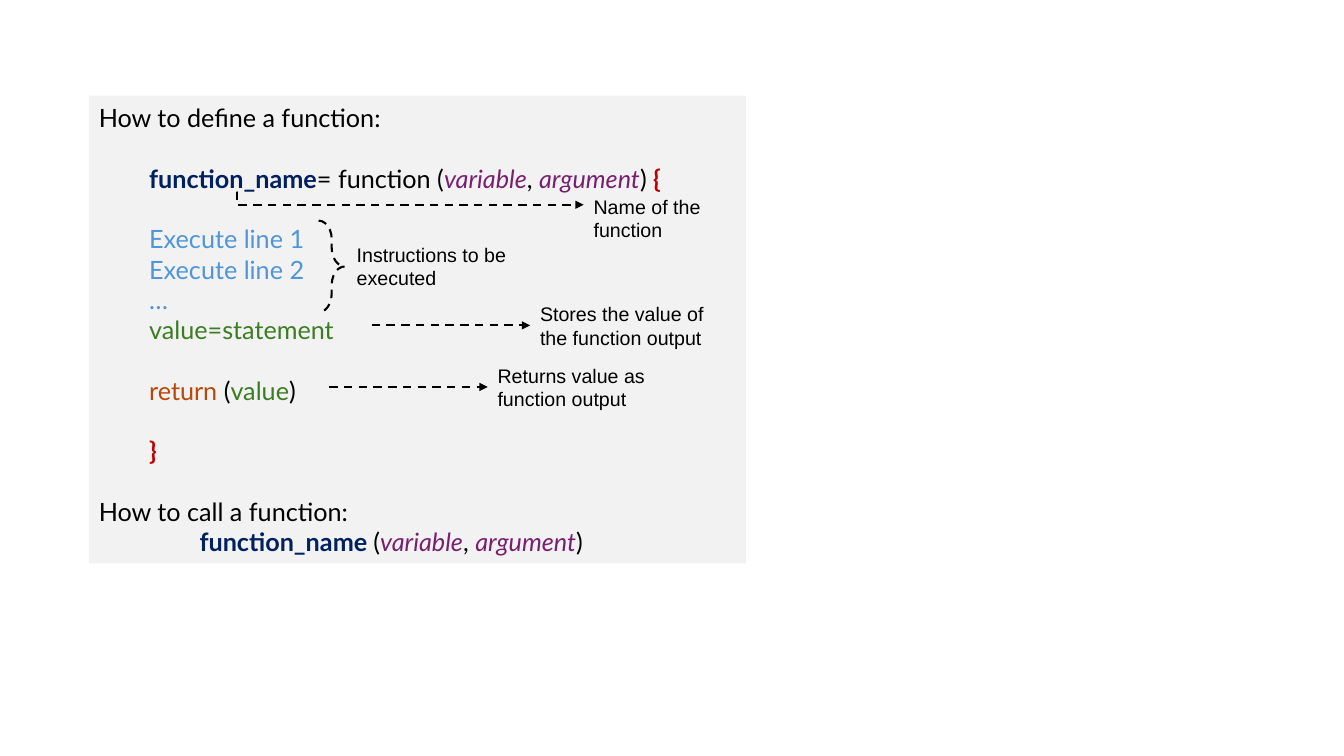
from dataclasses import dataclass

from lxml import etree
from pptx import Presentation
from pptx.dml.color import RGBColor
from pptx.enum.dml import MSO_LINE
from pptx.enum.shapes import MSO_CONNECTOR, MSO_SHAPE
from pptx.enum.text import MSO_ANCHOR, PP_ALIGN
from pptx.oxml.ns import qn
from pptx.util import Cm, Pt

DASH = MSO_LINE.DASH
STRAIGHT, ELBOW = MSO_CONNECTOR.STRAIGHT, MSO_CONNECTOR.ELBOW
RECTANGLE, RIGHT_BRACE = MSO_SHAPE.RECTANGLE, MSO_SHAPE.RIGHT_BRACE
LEFT, MIDDLE = PP_ALIGN.LEFT, MSO_ANCHOR.MIDDLE

BLACK = RGBColor(0x00, 0x00, 0x00)
PANEL_GREY = RGBColor(0xF2, 0xF2, 0xF2)
NAVY = RGBColor(0x00, 0x20, 0x60)
PURPLE = RGBColor(0x78, 0x20, 0x6E)
RED = RGBColor(0xC0, 0x00, 0x00)
BLUE = RGBColor(0x4E, 0x95, 0xD9)
GREEN = RGBColor(0x3B, 0x7D, 0x23)
ORANGE = RGBColor(0xBC, 0x47, 0x09)

CODE_FONT, CODE_SIZE = "Lato", Pt(18)
LABEL_FONT, LABEL_SIZE = "Arial", Pt(14)
BLANK_LINE = Pt(21.6)
INDENT = 1.27
ARROW_LENGTH = 3.99
ARROW_DROP = 0.71  # from the top of a label to its arrow


@dataclass
class Span:
    text: str
    color: RGBColor = BLACK
    bold: bool = False
    italic: bool = False


@dataclass
class CodeLine:
    spans: list[Span]
    level: int = 1
    gap: bool = False


@dataclass
class Label:
    text: str
    left: float
    top: float
    width: float = 4.83
    arrow: bool = False


PARAMETERS = [Span("variable", PURPLE, italic=True), Span(", "),
              Span("argument", PURPLE, italic=True)]

CODE = [
    CodeLine([Span("How to define a function:")], level=0),
    CodeLine([Span("function_name", NAVY, bold=True), Span("= function ("),
              *PARAMETERS, Span(") "), Span("{", RED, bold=True)], gap=True),
    CodeLine([Span("Execute line 1", BLUE)], gap=True),
    CodeLine([Span("Execute line 2", BLUE)]),
    CodeLine([Span("…", BLUE)]),
    CodeLine([Span("value=statement", GREEN)]),
    CodeLine([Span("return ", ORANGE), Span("("), Span("value", GREEN), Span(")")],
             gap=True),
    CodeLine([Span("}", RED, bold=True)], gap=True),
    CodeLine([Span("How to call a function:")], level=0, gap=True),
    CodeLine([Span("function_name ", NAVY, bold=True), Span("("),
              *PARAMETERS, Span(")")], level=2),
]

LABELS = [
    Label("Returns value as function output", 12.29, 9.04, arrow=True),
    Label("Stores the value of the function output", 13.36, 7.49, arrow=True),
    Label("Instructions to be executed", 8.74, 5.99),
    Label("Name of the function", 14.71, 4.78, width=3.48),
]


def style_run(r, font: str, size: Pt, span: Span) -> None:
    r.font.name, r.font.size = font, size
    r.font.color.rgb = span.color
    r.font.bold, r.font.italic = span.bold, span.italic


def add_code_panel(s) -> None:
    sp = s.shapes.add_shape(RECTANGLE, Cm(2.24), Cm(2.41), Cm(16.56), Cm(11.79))
    sp.shadow.inherit = False
    sp.fill.solid()
    sp.fill.fore_color.rgb = PANEL_GREY
    sp.line.fill.background()
    tf = sp.text_frame
    tf.word_wrap = True
    tf.vertical_anchor = MIDDLE
    for i, line in enumerate(CODE):
        p = tf.add_paragraph() if i else tf.paragraphs[0]
        p.alignment = LEFT
        p.space_before = BLANK_LINE if line.gap else Pt(0)
        pPr = p._p.get_or_add_pPr()
        pPr.set("marL", str(Cm(INDENT * line.level)))
        pPr.set("indent", "0")
        for span in line.spans:
            r = p.add_run()
            r.text = span.text
            style_run(r, CODE_FONT, CODE_SIZE, span)


def style_dashed(sp) -> None:
    sp.line.color.rgb = BLACK
    sp.line.width = Pt(1.5)
    sp.line.dash_style = DASH


def add_arrow(s, kind: MSO_CONNECTOR, x1: float, y1: float, x2: float, y2: float):
    arrow = s.shapes.add_connector(kind, Cm(x1), Cm(y1), Cm(x2), Cm(y2))
    style_dashed(arrow)
    etree.SubElement(arrow.line._get_or_add_ln(), qn("a:tailEnd"), type="triangle")
    etree.SubElement(arrow._element.spPr, qn("a:effectLst"))
    return arrow


def add_label(s, label: Label) -> None:
    if label.arrow:
        y = label.top + ARROW_DROP
        add_arrow(s, STRAIGHT, label.left - ARROW_LENGTH, y, label.left, y)
    sp = s.shapes.add_textbox(Cm(label.left), Cm(label.top), Cm(label.width), Cm(1.45))
    tf = sp.text_frame
    tf.word_wrap = True
    tf.text = label.text
    style_run(tf.paragraphs[0].runs[0], LABEL_FONT, LABEL_SIZE, Span(label.text))


def add_brace(s) -> None:
    sp = s.shapes.add_shape(RIGHT_BRACE, Cm(8.03), Cm(5.56), Cm(0.66), Cm(2.31))
    sp.shadow.inherit = False
    sp.adjustments[0], sp.adjustments[1] = 0.71, 0.5
    sp.fill.background()
    style_dashed(sp)


def add_name_arrow(s) -> None:
    """Elbow that drops from the function name, then runs right to its label."""
    arrow = add_arrow(s, ELBOW, 5.97, 4.83, 14.71, 5.16)
    avLst = arrow._element.spPr.find(qn("a:prstGeom")).find(qn("a:avLst"))
    etree.SubElement(avLst, qn("a:gd"), name="adj1", fmla="val 100")


def main() -> None:
    prs = Presentation()
    prs.slide_width, prs.slide_height = Cm(33.87), Cm(19.05)
    s = prs.slides.add_slide(prs.slide_layouts[6])
    add_code_panel(s)
    for label in LABELS:
        add_label(s, label)
    add_brace(s)
    add_name_arrow(s)
    prs.save("out.pptx")


if __name__ == "__main__":
    main()
